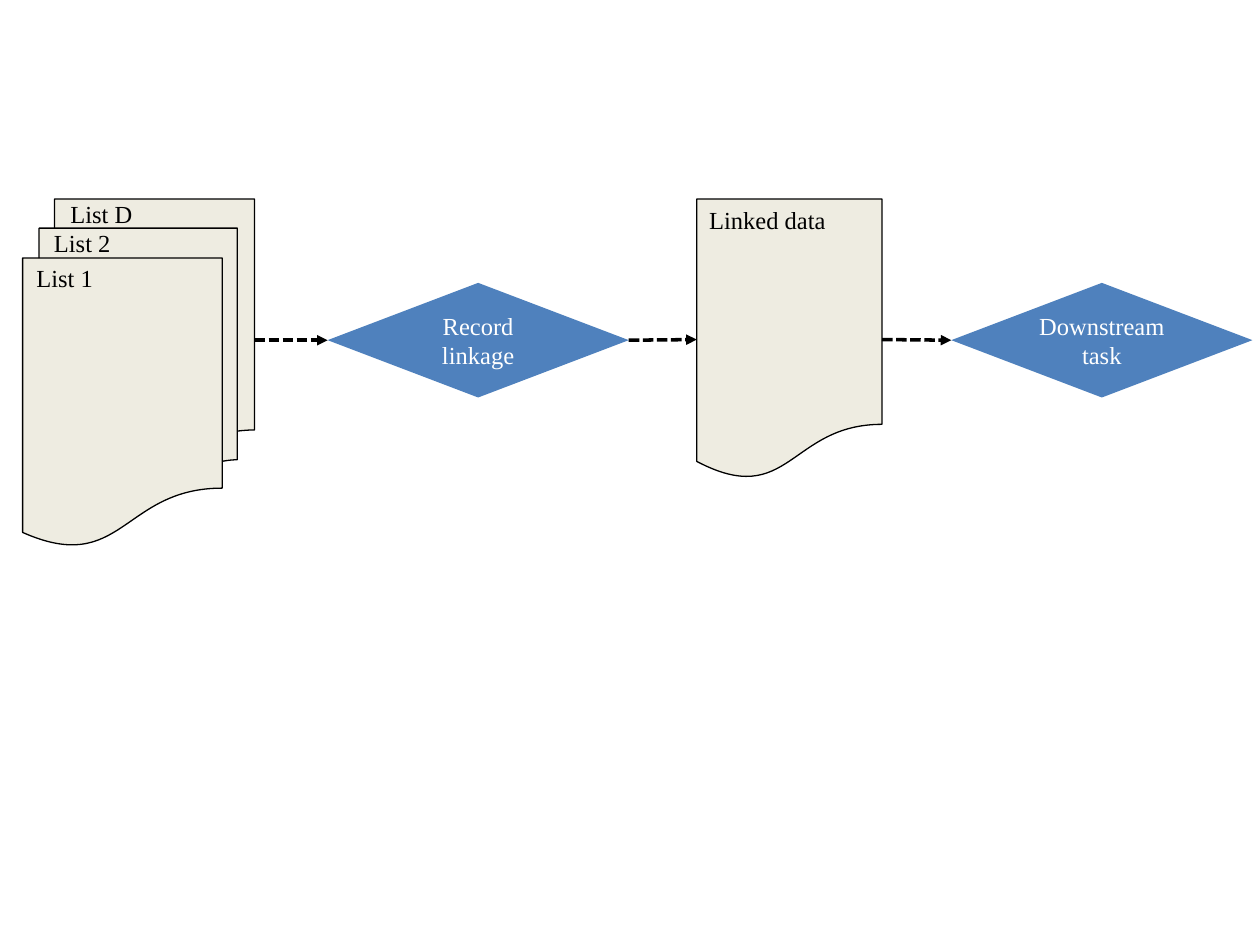
from lxml import etree
from pptx import Presentation
from pptx.dml.color import RGBColor
from pptx.enum.dml import MSO_LINE as Dash
from pptx.enum.shapes import MSO_CONNECTOR as Conn, MSO_SHAPE as Shape
from pptx.enum.text import MSO_ANCHOR as Anchor, MSO_AUTO_SIZE as Fit, PP_ALIGN as Align
from pptx.oxml.ns import qn
from pptx.util import Inches, Pt

BLACK = RGBColor(0x00, 0x00, 0x00)
WHITE = RGBColor(0xFF, 0xFF, 0xFF)
CREAM = RGBColor(0xEE, 0xEC, 0xE1)
BLUE = RGBColor(0x4F, 0x81, 0xBD)
FONT = "Times New Roman"
MID = 2.7


def add_run(para, text, color):
    """Add one run of styled text to a paragraph."""
    run = para.add_run()
    run.text = text
    run.font.name = FONT
    run.font.size = Pt(14)
    run.font.color.rgb = color


def add_label(slide, left, top, text):
    """Place a black label with its corner at the given point."""
    box = slide.shapes.add_textbox(Inches(left), Inches(top), Inches(1.98), Inches(0.34))
    frame = box.text_frame
    frame.word_wrap = True
    frame.auto_size = Fit.SHAPE_TO_FIT_TEXT
    add_run(frame.paragraphs[0], text, BLACK)


def add_form(slide, kind, box, fill):
    """Add a flat preset shape without an outline."""
    form = slide.shapes.add_shape(kind, *(Inches(n) for n in box))
    form.shadow.inherit = False
    form.fill.solid()
    form.fill.fore_color.rgb = fill
    form.line.fill.background()
    return form


def add_paper(slide, kind, box, labels):
    """Draw an outlined document shape with labels offset from its corner."""
    paper = add_form(slide, kind, box, CREAM)
    paper.line.color.rgb = BLACK
    paper.line.width = Pt(0.75)
    left, top = box[:2]
    for text, right, down in labels:
        add_label(slide, left + right, top + down, text)
    return paper


def add_step(slide, left, text):
    """Draw a blue decision diamond centred on the flow line."""
    high = 0.91
    step = add_form(slide, Shape.FLOWCHART_DECISION, (left, MID - high / 2, 2.39, high), BLUE)
    frame = step.text_frame
    frame.word_wrap = True
    frame.margin_left = frame.margin_right = Inches(0.05)
    frame.vertical_anchor = Anchor.MIDDLE
    para = frame.paragraphs[0]
    para.alignment = Align.CENTER
    add_run(para, text, WHITE)
    return step


def add_arrow(slide, start, end, glue=True):
    """Draw a dashed arrow from the right of one shape to the left of another."""
    y = Inches(MID)
    arrow = slide.shapes.add_connector(Conn.STRAIGHT, start.left + start.width, y, end.left, y)
    if glue:
        arrow.begin_connect(start, 3)
    arrow.end_connect(end, 1)
    arrow.line.color.rgb = BLACK
    arrow.line.width = Pt(2)
    arrow.line.dash_style = Dash.SQUARE_DOT
    tail = etree.SubElement(arrow.line._get_or_add_ln(), qn("a:tailEnd"))
    tail.set("type", "triangle")
    etree.SubElement(arrow._element.spPr, qn("a:effectLst"))


def main():
    """Build the record linkage flow and save it."""
    deck = Presentation()
    deck.slide_width, deck.slide_height = Inches(10), Inches(7.5)
    slide = deck.slides.add_slide(deck.slide_layouts[6])
    names = [("List 1", 0.01, 0.46), ("List 2", 0.15, 0.18), ("List D", 0.28, -0.05)]
    lists = add_paper(slide, Shape.FLOWCHART_MULTIDOCUMENT, (0.18, 1.58, 1.84, 2.75), names)
    task = add_step(slide, 7.55, "Downstream task")
    data = add_paper(slide, Shape.FLOWCHART_DOCUMENT, (5.53, 1.58, 1.47, 2.23),
                     [("Linked data", 0, 0)])
    link = add_step(slide, 2.6, "Record linkage")
    add_arrow(slide, lists, link, glue=False)
    add_arrow(slide, link, data)
    add_arrow(slide, data, task)
    deck.save("out.pptx")


if __name__ == "__main__":
    main()
